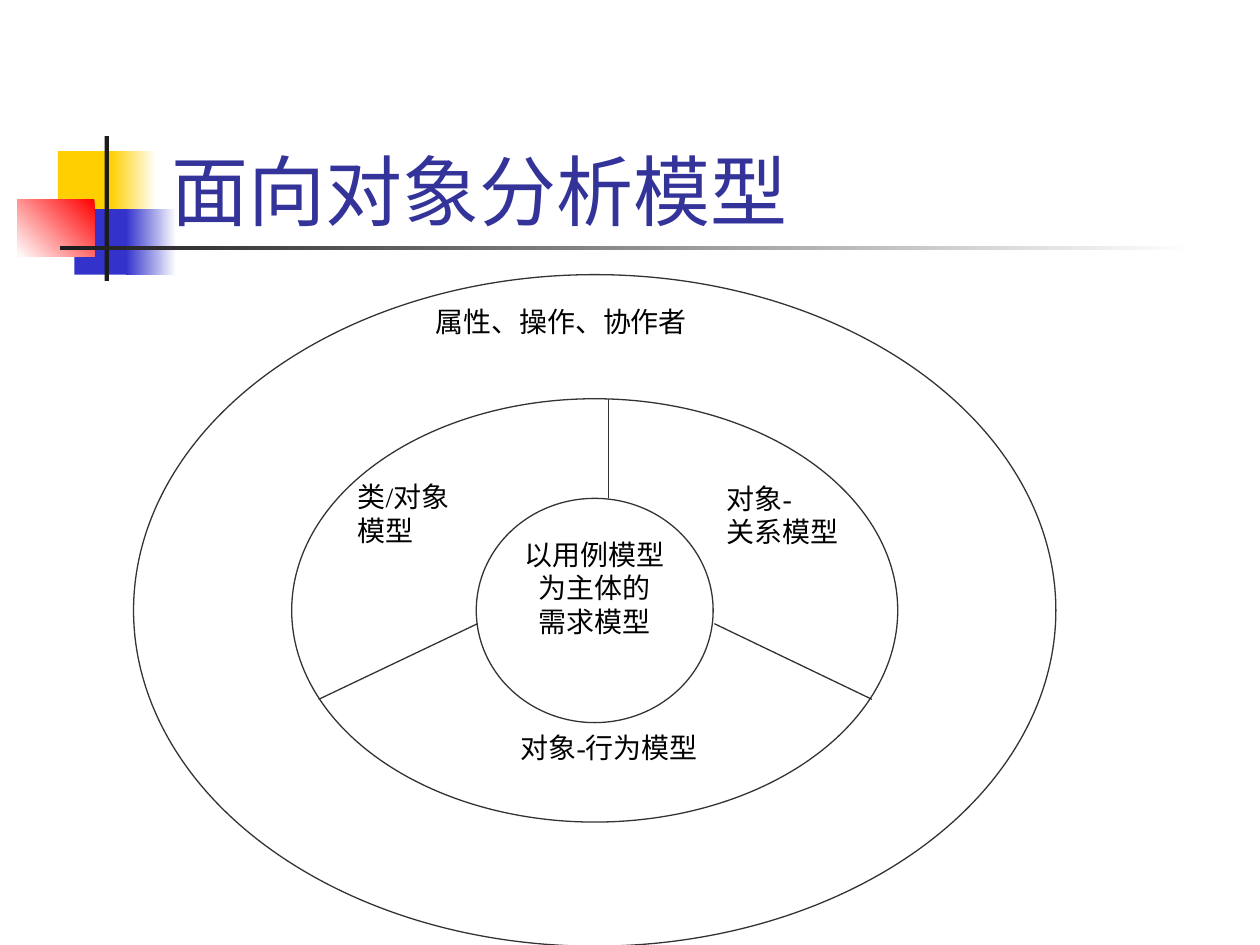
from lxml import etree
from pptx import Presentation
from pptx import util as u
from pptx.dml.color import RGBColor
from pptx.enum import shapes, text
from pptx.oxml.ns import qn

WHITE = RGBColor(0xFF, 0xFF, 0xFF)
BLACK = RGBColor(0x00, 0x00, 0x00)
INK = RGBColor(0x1C, 0x1C, 0x1C)
OUTLINE = RGBColor(0x33, 0x33, 0x33)
TITLE = RGBColor(0x33, 0x33, 0x99)
YELLOW = RGBColor(0xFF, 0xCF, 0x01)
BLUE = RGBColor(0x33, 0x33, 0xCC)
RED = RGBColor(0xFF, 0x00, 0x00)

COLS, ROWS = 100, 75
CENTRE = (47.2, 48.45)
LEFT, MIDDLE, JUSTIFY = text.PP_ALIGN.LEFT, text.PP_ALIGN.CENTER, text.PP_ALIGN.JUSTIFY


def write(tf, lines, size=16, font="Times New Roman", color=BLACK,
          align=JUSTIFY, anchor=text.MSO_ANCHOR.TOP):
    """Write each line as a paragraph of the text frame."""
    tf.word_wrap = True
    tf.vertical_anchor = anchor
    for i, line in enumerate(lines):
        p = tf.add_paragraph() if i else tf.paragraphs[0]
        p.alignment = align
        r = p.add_run()
        r.text = line
        r.font.size, r.font.name = u.Pt(size), font
        r.font.color.rgb = color


class Canvas:
    """Style and current slide, measured on a grid of COLS by ROWS."""

    def __init__(self, prs):
        self.s = prs.slides.add_slide(prs.slide_layouts[6])
        self.col = prs.slide_width / COLS
        self.row = prs.slide_height / ROWS

    def grid(self, *values):
        """Turn alternating columns and rows into lengths."""
        return [u.Emu(round(v * (self.row if i % 2 else self.col)))
                for i, v in enumerate(values)]

    def shape(self, kind, box, fill=None, line=None):
        """Add a preset shape with a plain fill and outline."""
        sp = self.s.shapes.add_shape(kind, *self.grid(*box))
        sp.shadow.inherit = False
        if fill is None:
            sp.fill.background()
        else:
            sp.fill.solid()
            sp.fill.fore_color.rgb = fill
        if line is None:
            sp.line.fill.background()
        else:
            sp.line.color.rgb = line
            sp.line.width = u.Pt(0.75)
        return sp

    def block(self, box, fill):
        """Add a solid rectangle."""
        return self.shape(shapes.MSO_SHAPE.RECTANGLE, box, fill)

    def fade(self, box, start, end, angle=180):
        """Add a rectangle with a two-colour gradient."""
        sp = self.block(box, start)
        sp.fill.gradient()
        sp.fill.gradient_angle = angle
        for stop, color in zip(sp.fill.gradient_stops, (start, end)):
            stop.color.rgb = color

    def title(self, box, line):
        """Add the slide title."""
        tf = self.s.shapes.add_textbox(*self.grid(*box)).text_frame
        write(tf, [line], size=44, font="Karla", color=TITLE, align=LEFT,
              anchor=text.MSO_ANCHOR.BOTTOM)

    def label(self, box, *lines, align=JUSTIFY):
        """Add a white text panel."""
        write(self.block(box, WHITE).text_frame, lines, align=align)

    def ring(self, width, height, *lines, fill=None):
        """Add an ellipse around the common centre."""
        x, y = CENTRE
        box = (x - width / 2, y - height / 2, width, height)
        sp = self.shape(shapes.MSO_SHAPE.OVAL, box, fill, OUTLINE)
        write(sp.text_frame, lines, align=MIDDLE)

    def spoke(self, *ends):
        """Add a dividing line."""
        sp = self.s.shapes.add_connector(shapes.MSO_CONNECTOR.STRAIGHT, *self.grid(*ends))
        sp.line.color.rgb = OUTLINE
        sp.line.width = u.Pt(0.75)
        etree.SubElement(sp.line._get_or_add_ln().getparent(), qn("a:effectLst"))


def main():
    """Build the slide and save it."""
    prs = Presentation()
    prs.slide_width, prs.slide_height = u.Inches(10), u.Inches(7.5)
    c = Canvas(prs)

    c.block((4.6, 12, 4.8, 5.2), YELLOW)
    c.fade((8.8, 12, 3.6, 5.2), WHITE, YELLOW)
    c.block((5.9, 16.6, 4.6, 5.2), BLUE)
    c.fade((10, 16.6, 4, 5.2), WHITE, BLUE)
    c.fade((1.4, 15.8, 6.1, 4.6), RED, WHITE, angle=225)
    c.block((8.3, 10.8, 0.35, 11.5), INK)
    c.fade((4.8, 19.5, 90, 0.35), WHITE, INK)
    c.title((12.6, 6.7, 85.2, 12.5), "面向对象分析模型")

    c.label((33.6, 23.7, 25.1, 5.9), "属性、操作、协作者")
    c.label((37.9, 57.5, 20.9, 5.9), "对象-行为模型", align=MIDDLE)
    c.label((56.7, 37.7, 14.6, 9.9), "对象-", "关系模型")
    c.label((27.4, 37.6, 14.6, 9.9), "类/对象", "模型")

    c.ring(73.2, 53.3)
    c.ring(48.1, 33.6)
    c.ring(18.8, 17.8, "以用例模型", "为主体的", "需求模型", fill=WHITE)

    c.spoke(48.3, 39.5, 48.3, 31.7)
    c.spoke(37.9, 49.5, 25.3, 55.5)
    c.spoke(69.2, 55.5, 56.7, 49.5)
    prs.save("out.pptx")


if __name__ == "__main__":
    main()
